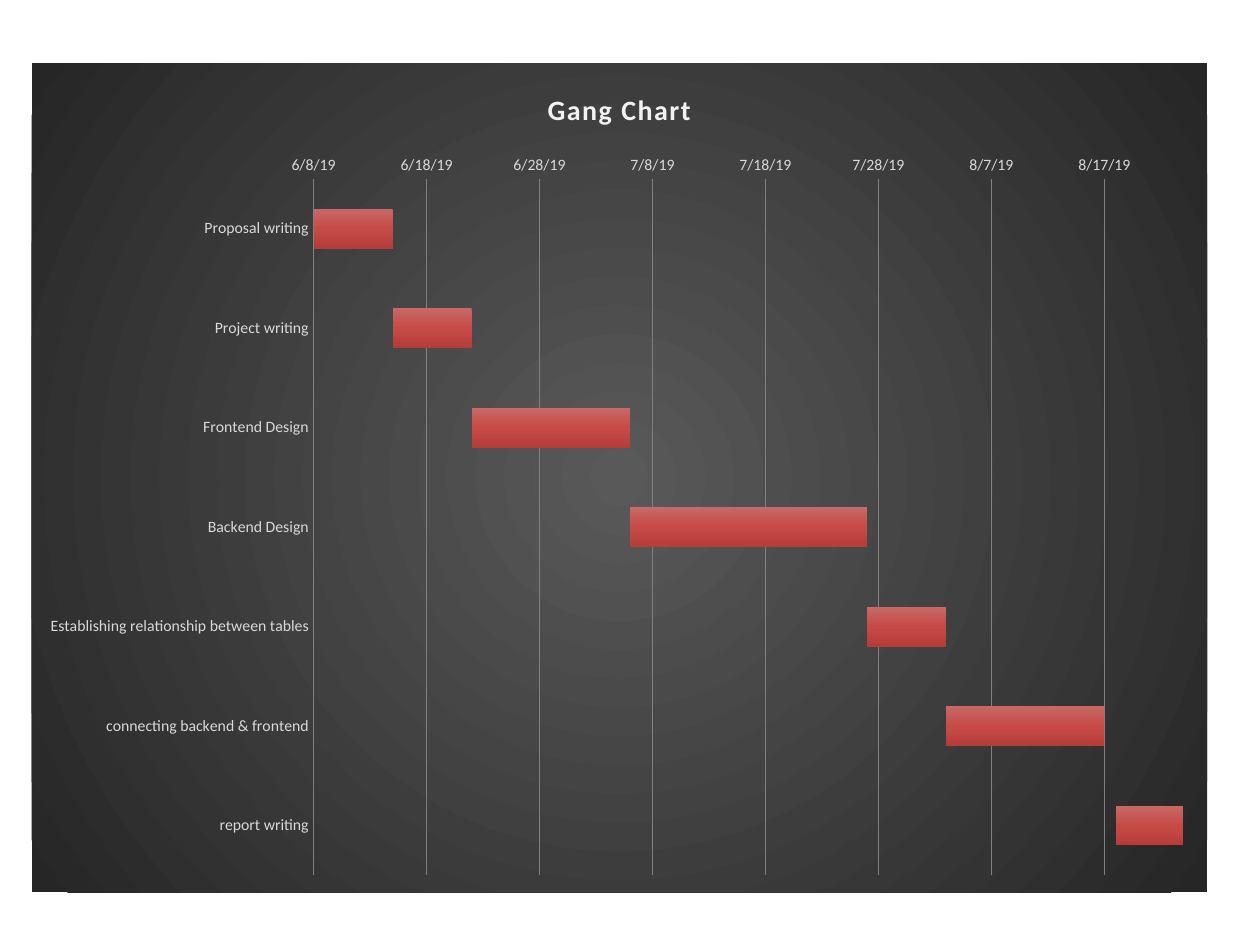
from typing import NamedTuple

from lxml import etree
from pptx import Presentation
from pptx.chart import data as chart_data
from pptx.dml.color import RGBColor
from pptx.enum import chart as kinds
from pptx.oxml import ns, parse_xml
from pptx.util import Inches, Pt


class Task(NamedTuple):
    name: str
    start: int  # date serial
    days: int


class Stop(NamedTuple):
    percent: int
    color: str


TASKS = [
    Task("Proposal writing", 43624, 7),
    Task("Project writing", 43631, 7),
    Task("Frontend Design", 43638, 14),
    Task("Backend Design", 43652, 21),
    Task("Establishing relationship between tables", 43673, 7),
    Task("connecting backend & frontend", 43680, 14),
    Task("report writing", 43695, 7),
]
FIRST_DAY, LAST_DAY = 43624, 43701
BACKDROP = [Stop(0, "595959"), Stop(100, "262626")]
BAR_SHADES = [Stop(0, "C76967"), Stop(50, "C64B47"), Stop(100, "B63C39")]
RADIAL = ('<a:path path="circle"><a:fillToRect l="50000" t="50000" '
          'r="50000" b="50000"/></a:path>')
DOWNWARD = '<a:lin ang="5400000" scaled="0"/>'


def rgb(color: str) -> RGBColor:
    return RGBColor.from_string(color)


def gradient(stops: list[Stop], direction: str) -> etree.ElementBase:
    marks = "".join(
        f'<a:gs pos="{stop.percent * 1000}"><a:srgbClr val="{stop.color}"/></a:gs>'
        for stop in stops)
    return parse_xml(f'<a:gradFill {ns.nsdecls("a")} rotWithShape="1">'
                     f'<a:gsLst>{marks}</a:gsLst>{direction}</a:gradFill>')


def style_font(font, size: float, color: str) -> None:
    font.name = "Calibri"
    font.size = Pt(size)
    font.color.rgb = rgb(color)


def style_axis(axis) -> None:
    axis.major_tick_mark = axis.minor_tick_mark = kinds.XL_TICK_MARK.NONE
    axis.format.line.fill.background()
    style_font(axis.tick_labels.font, 9, "D9D9D9")


def set_plot_area(chart, x: float, y: float, w: float, h: float) -> None:
    plot_area = chart._chartSpace.find(".//" + ns.qn("c:plotArea"))
    for old in plot_area.findall(ns.qn("c:layout")):
        plot_area.remove(old)
    values = "".join(f'<c:{key} val="{value}"/>'
                     for key, value in zip("xywh", (x, y, w, h)))
    plot_area.insert(0, parse_xml(
        f'<c:layout {ns.nsdecls("c")}><c:manualLayout>'
        '<c:layoutTarget val="inner"/><c:xMode val="edge"/><c:yMode val="edge"/>'
        f'{values}</c:manualLayout></c:layout>'))


def add_title(chart, wording: str) -> None:
    run = chart.chart_title.text_frame.paragraphs[0].add_run()
    run.text = wording
    style_font(run.font, 16, "F2F2F2")
    run.font.bold = True
    run._r.get_or_add_rPr().set("spc", "100")
    chart.chart_title.include_in_layout = False


def add_schedule(slide, tasks: list[Task]) -> None:
    schedule = chart_data.CategoryChartData()
    schedule.categories = [task.name for task in tasks]
    schedule.add_series("Series 1", [task.start for task in tasks])
    schedule.add_series("Series 2", [task.days for task in tasks])
    chart = slide.shapes.add_chart(
        kinds.XL_CHART_TYPE.BAR_STACKED, Inches(0.25), Inches(0.5),
        Inches(9.33), Inches(6.58), schedule).chart
    chart.has_legend = False
    style_font(chart.font, 10, "000000")
    add_title(chart, "Gang Chart")
    set_plot_area(chart, 0.24, 0.14, 0.74, 0.84)

    # Dark radial backdrop
    backdrop = parse_xml(f'<c:spPr {ns.nsdecls("c", "a")}>'
                         '<a:ln><a:noFill/></a:ln></c:spPr>')
    backdrop.insert(0, gradient(BACKDROP, RADIAL))
    chart._chartSpace.find(ns.qn("c:chart")).addnext(backdrop)

    # Hidden start offsets, then visible durations
    plot = chart.plots[0]
    plot.gap_width, plot.overlap = 150, 100
    plot.vary_by_categories = False
    starts, durations = plot.series
    for series in (starts, durations):
        series.format.fill.background()
        series.format.line.fill.background()
    bar_style = durations._element.find(ns.qn("c:spPr"))
    bar_style.replace(bar_style.find(ns.qn("a:noFill")),
                      gradient(BAR_SHADES, DOWNWARD))

    # Tasks run downwards, dates along the top
    style_axis(chart.category_axis)
    chart.category_axis.reverse_order = True
    dates = chart.value_axis
    style_axis(dates)
    dates.minimum_scale, dates.maximum_scale = FIRST_DAY, LAST_DAY
    dates.major_unit = 10
    dates.tick_labels.number_format = "m/d/yy"
    dates.tick_labels.number_format_is_linked = False
    dates.has_major_gridlines = True
    dates.major_gridlines.format.line.color.rgb = rgb("808080")
    dates.major_gridlines.format.line.width = Pt(0.75)


def main() -> None:
    deck = Presentation()
    deck.slide_width, deck.slide_height = Inches(10), Inches(7.5)
    slide = deck.slides.add_slide(deck.slide_layouts[6])
    add_schedule(slide, TASKS)
    deck.save("out.pptx")


if __name__ == "__main__":
    main()
